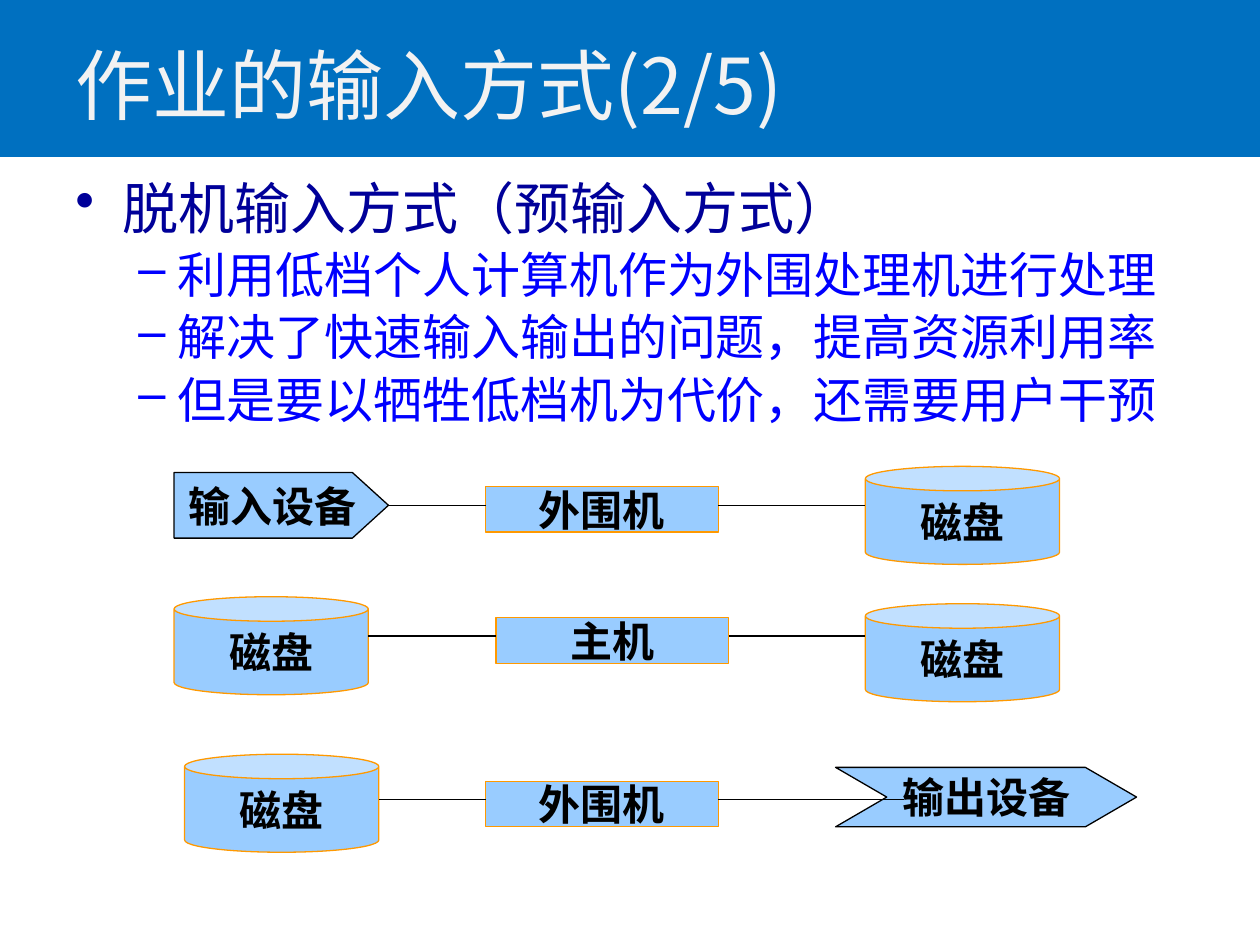
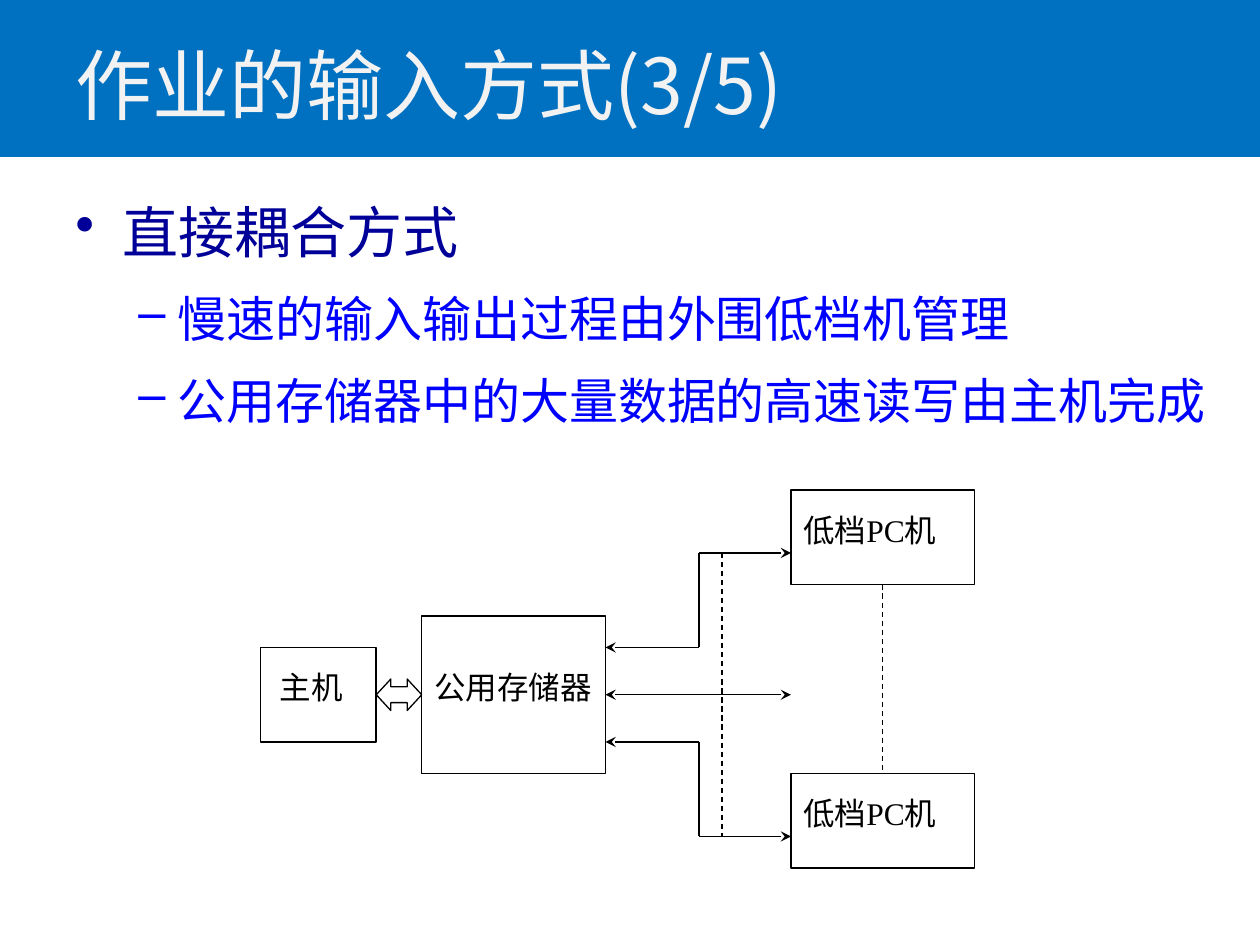
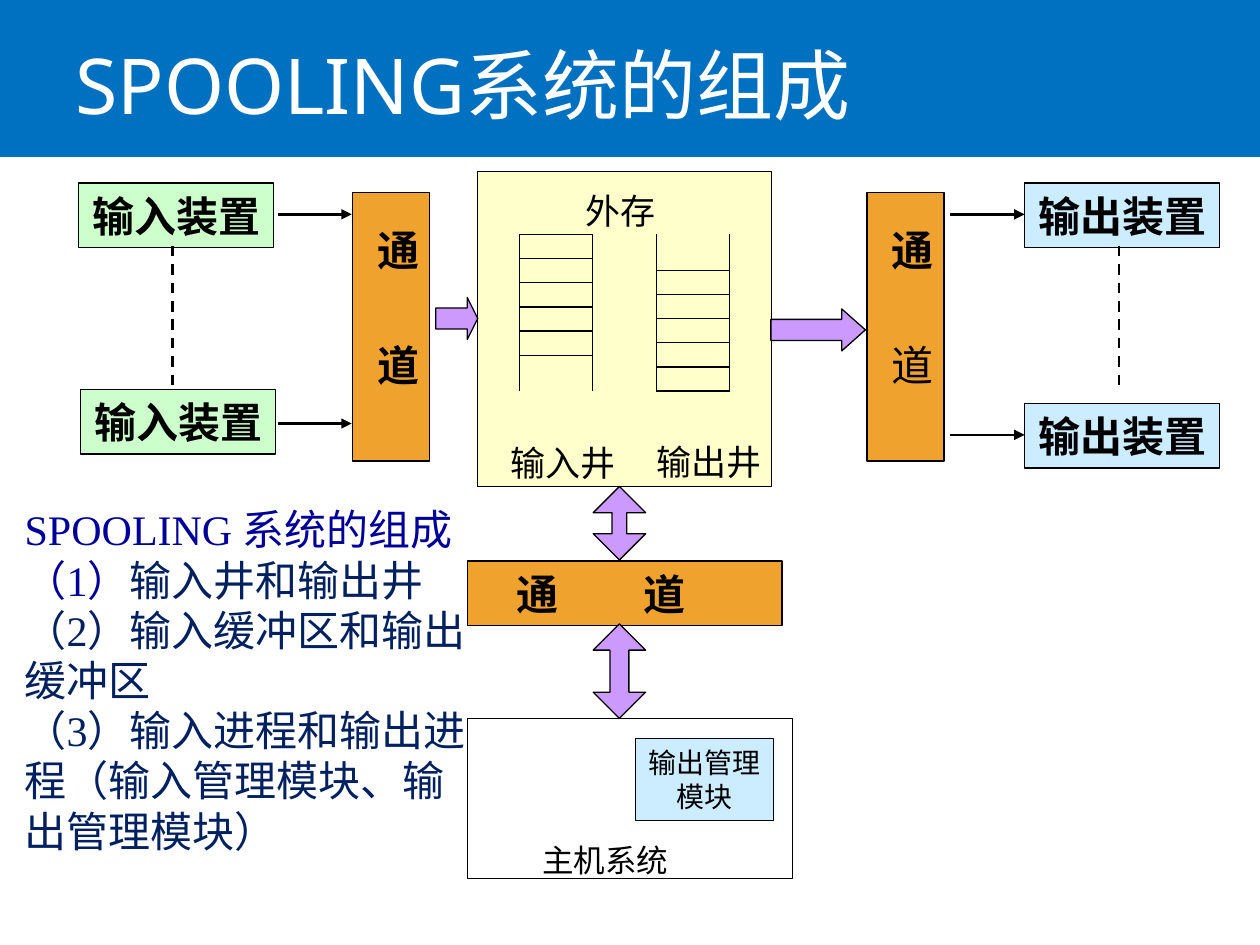
from collections import namedtuple
from dataclasses import dataclass

from lxml import etree
from pptx import Presentation
from pptx.dml.color import RGBColor
from pptx.enum import dml, shapes, text
from pptx.oxml import ns
from pptx.util import Pt

Box = namedtuple("Box", "left top width height")
SHAPE = shapes.MSO_SHAPE
ALIGN = text.PP_ALIGN
ANCHOR = text.MSO_ANCHOR


@dataclass(frozen=True)
class Theme:
    band: str = "0070C0"
    title: str = "F2F2F2"
    white: str = "FFFFFF"
    black: str = "000000"
    heading: str = "000099"
    point: str = "0000FF"
    note: str = "002060"
    device: str = "99CCFF"
    device_edge: str = "FF9900"
    disk: str = "FFFFCC"
    source: str = "CCFFCC"
    sink: str = "CCECFF"
    channel: str = "F0A22E"
    arrow: str = "CC99FF"
    cjk: str = "Noto Sans CJK SC"
    sans: str = "Noto Sans"
    arial: str = "Arial"
    serif: str = "Times New Roman"
    title_size: int = 44
    heading_size: int = 32
    point_size: int = 28
    label_size: int = 24
    caption_size: int = 20
    small_size: int = 18
    tiny_size: int = 16
    thin: float = 0.75
    thick: float = 1.5


THEME = Theme()


# ---- Shared drawing helpers ----
def inside(region, x, y, width, height):
    return Box(region.left + x, region.top + y, width, height)


def add_xml(parent, tag, **attributes):
    return etree.SubElement(parent, ns.qn(tag), **attributes)


def add_span(para, words, size, color=THEME.black, font=THEME.serif, bold=False):
    span = para.add_run()
    span.text = words
    span.font.size = Pt(size)
    span.font.bold = bold
    span.font.color.rgb = RGBColor.from_string(color)
    span.font.name = font
    add_xml(span._r.get_or_add_rPr(), "a:ea", typeface=THEME.cjk)


def set_frame(shape, insets=(0, 0, 0, 0), anchor=ANCHOR.MIDDLE, wrap=True):
    frame = shape.text_frame
    frame.word_wrap = wrap
    frame.vertical_anchor = anchor
    (frame.margin_left, frame.margin_top,
     frame.margin_right, frame.margin_bottom) = map(Pt, insets)
    return frame


def add_text_box(page, box, **options):
    return set_frame(page.shapes.add_textbox(*map(Pt, box)), **options)


def add_block(page, box, fill, kind=SHAPE.RECTANGLE, edge=THEME.black,
              width=THEME.thin, adjust=()):
    block = page.shapes.add_shape(kind, *map(Pt, box))
    block.shadow.inherit = False
    if fill:
        block.fill.solid()
        block.fill.fore_color.rgb = RGBColor.from_string(fill)
    else:
        block.fill.background()
    block.line.color.rgb = RGBColor.from_string(edge)
    block.line.width = Pt(width)
    for index, value in enumerate(adjust):
        block.adjustments[index] = value
    return block


def add_line(page, region, start, end, width=THEME.thin, dashed=False,
             head=None, tail=None):
    line = page.shapes.add_connector(
        shapes.MSO_CONNECTOR.STRAIGHT,
        Pt(region.left + start[0]), Pt(region.top + start[1]),
        Pt(region.left + end[0]), Pt(region.top + end[1]))
    line.line.color.rgb = RGBColor.from_string(THEME.black)
    line.line.width = Pt(width)
    if dashed:
        line.line.dash_style = dml.MSO_LINE.DASH
    outline = line.line._get_or_add_ln()
    for tag, arrow in (("a:headEnd", head), ("a:tailEnd", tail)):
        if arrow:
            add_xml(outline, tag, type=arrow)
    add_xml(line._element.spPr, "a:effectLst")


def write_line(frame, words, size, align=ALIGN.CENTER, **style):
    para = frame.paragraphs[0]
    para.alignment = align
    add_span(para, words, size, **style)


# ---- Title band and bullets ----
def add_header(page, box, words, color=THEME.title, font=THEME.cjk):
    add_block(page, box, THEME.band, edge=THEME.band, width=2)
    frame = add_text_box(page, inside(box, 36, 14.5, 648, 67),
                         insets=(7.2, 3.6, 7.2, 3.6))
    write_line(frame, words, THEME.title_size, ALIGN.LEFT, color=color, font=font)


def add_bullets(page, box, heading, points, spacing):
    frame = add_text_box(page, box, insets=(7.2, 3.6, 7.2, 3.6), anchor=ANCHOR.TOP)
    top = ("•", THEME.heading_size, THEME.heading, 27, -27)
    sub = ("–", THEME.point_size, THEME.point, 58.5, -22.5)
    for index, words in enumerate([heading, *points]):
        mark, size, color, margin, indent = sub if index else top
        para = frame.add_paragraph() if index else frame.paragraphs[0]
        para.level = min(index, 1)
        para.line_spacing = Pt(round(size * 1.19 * spacing, 1))
        para.space_before = Pt(size * 0.2)
        props = para._p.get_or_add_pPr()
        props.set("marL", str(Pt(margin)))
        props.set("indent", str(Pt(indent)))
        add_xml(props, "a:buChar", char=mark)
        add_span(para, words, size, color, THEME.cjk)


# ---- Slide 1: three chains of devices ----
def draw_offline_chains(page, region):
    plate = (SHAPE.PENTAGON, 122.5, 37.5, THEME.black, (0.55,))
    machine = (SHAPE.RECTANGLE, 133, 26, THEME.device_edge, ())
    can = (SHAPE.CAN, 111, 56, THEME.device_edge, (0.25,))
    chevron = (SHAPE.CHEVRON, 172, 34, THEME.black, (0.861,))
    # Each chain: height of its line, overlap into the last part, its parts
    chains = [
        (23, 0, [(plate, 0, 4, "输入设备"), (machine, 178, 12, "外围机"),
                 (can, 395, 0.5, "磁盘")]),
        (97.5, 0, [(can, 0, 75, "磁盘"), (machine, 184, 87, "主机"),
                   (can, 395, 79, "磁盘")]),
        (191, 39, [(can, 6, 165, "磁盘"), (machine, 178, 180.5, "外围机"),
                   (chevron, 378, 172.5, "输出设备")]),
    ]
    for line_y, overlap, parts in chains:
        for (kind, width, height, edge, adjust), x, y, words in parts:
            block = add_block(page, inside(region, x, y, width, height),
                              THEME.device, kind, edge, adjust=adjust)
            write_line(set_frame(block, wrap=False), words, THEME.label_size,
                       font=THEME.arial, bold=True)
        for left, right, extra in zip(parts, parts[1:], (0, overlap)):
            add_line(page, region, (left[1] + left[0][1], line_y),
                     (right[1] + extra, line_y))


# ---- Slide 2: shared storage between host and PCs ----
def draw_coupling(page, region):
    boxes = [
        ("主机", (0, 90, 66, 54), 11, 12),
        ("公用存储器", (92, 72, 105, 90), 7.2, 30),
        ("低档PC机", (303, 0, 105, 54), 7.2, 12),
        ("低档PC机", (303, 162, 105, 54), 7.2, 12),
    ]
    for words, place, left, top in boxes:
        block = add_block(page, inside(region, *place), THEME.white)
        frame = set_frame(block, (left, top, 0, 0), ANCHOR.TOP)
        write_line(frame, words, THEME.small_size, ALIGN.LEFT)

    # Stepped links from the storage to each PC
    storage, bend, pc = 197, 250.5, 303
    for inner, outer in ((90, 36), (144, 198)):
        add_line(page, region, (storage, inner), (bend, inner), head="stealth")
        add_line(page, region, (bend, inner), (bend, outer))
        add_line(page, region, (bend, outer), (pc, outer), tail="stealth")
    add_line(page, region, (storage, 117), (pc, 117), head="stealth", tail="stealth")

    # Dashed lines for the PCs in between
    add_line(page, region, (263.5, 36), (263.5, 198), dashed=True)
    add_line(page, region, (355.5, 54), (355.5, 162), dashed=True)
    add_block(page, inside(region, 66, 108, 26, 18), THEME.white,
              SHAPE.LEFT_RIGHT_ARROW, adjust=(0.5, 0.462))


# ---- Slide 3: SPOOLING parts ----
def draw_well(page, region, left, right, first_rung, step):
    for x in (left, right):
        add_line(page, region, (x, 44), (x, 133.5))
    for index in range(6):
        y = first_rung + index * step
        add_line(page, region, (left, y), (right, y))


def draw_disk(page, region):
    add_block(page, inside(region, 273, 8, 168, 180), THEME.disk)
    draw_well(page, region, 297, 338.5, 44, 13.8)
    draw_well(page, region, 375, 417, 133.5, -13.8)
    for words, x, y, width in (("输入井", 285, 158.5, 74), ("输出井", 368, 158, 74),
                               ("外存", 327, 14.5, 55)):
        frame = add_text_box(page, inside(region, x, y, width, 31), wrap=False)
        write_line(frame, words, THEME.caption_size)


def draw_devices(page, region):
    devices = [("输入装置", THEME.source, 45, 14.5), ("输入装置", THEME.source, 46, 132.5),
               ("输出装置", THEME.sink, 585.5, 14.5), ("输出装置", THEME.sink, 585.5, 140.5)]
    for words, fill, x, y in devices:
        block = add_block(page, inside(region, x, y, 111.5, 37), fill)
        write_line(set_frame(block, wrap=False), words, THEME.label_size, bold=True)
    for start, end, y in ((159, 201, 32.5), (159, 201, 152),
                          (543, 585.5, 32.5), (543, 585.5, 158.5)):
        add_line(page, region, (start, y), (end, y), THEME.thick, tail="triangle")
    for x in (98.5, 639.5):
        add_line(page, region, (x, 50.5), (x, 134), THEME.thick, dashed=True)


def draw_channels(page, region):
    # Upright channels, one character above the other
    for x, lower_bold in ((201.5, True), (495.5, False)):
        block = add_block(page, inside(region, x, 20, 44, 153.5), THEME.channel)
        frame = set_frame(block, (8, 18, 0, 0), ANCHOR.TOP)
        write_line(frame, "通", THEME.label_size, bold=True)
        lower = frame.add_paragraph()
        lower.alignment = ALIGN.CENTER
        lower.space_before = Pt(37)
        add_span(lower, "道", THEME.label_size, bold=lower_bold)
    # Level channel, its characters parted by a tab stop
    block = add_block(page, inside(region, 267, 230.5, 180, 37), THEME.channel)
    frame = set_frame(block, (28, 0, 0, 0))
    write_line(frame, "通\t道", THEME.label_size, ALIGN.LEFT, bold=True)
    stops = add_xml(frame.paragraphs[0]._p.get_or_add_pPr(), "a:tabLst")
    add_xml(stops, "a:tab", pos=str(Pt(73)), algn="l")


def draw_host(page, region):
    block = add_block(page, inside(region, 363, 332, 79, 47), THEME.sink)
    frame = set_frame(block)
    write_line(frame, "输出管理", THEME.tiny_size)
    second = frame.add_paragraph()
    second.alignment = ALIGN.CENTER
    add_span(second, "模块", THEME.tiny_size)
    for para in frame.paragraphs:
        para.line_spacing = Pt(19.4)
    host = add_block(page, inside(region, 267, 320.5, 186, 91.5), None)
    write_line(set_frame(host, (43, 0, 0, 0), ANCHOR.BOTTOM), "主机系统",
               THEME.small_size, ALIGN.LEFT)


def draw_flow_arrows(page, region):
    across, upright = SHAPE.RIGHT_ARROW, SHAPE.UP_DOWN_ARROW
    for kind, place, tip in ((across, (249, 80, 24, 24), 0.25),
                             (across, (440.5, 86.5, 54, 24), 0.562),
                             (upright, (339, 188, 30, 42), 0.28),
                             (upright, (339, 266.5, 30, 54), 0.36)):
        # The tip of an upright arrow is measured against its width
        add_block(page, inside(region, *place), THEME.arrow, kind, adjust=(0.5, tip))


def write_summary(page, box):
    frame = add_text_box(page, box, insets=(7.2, 3.6, 7.2, 3.6), anchor=ANCHOR.TOP)
    paragraphs = [
        [("SPOOLING 系统的组成", THEME.heading)],
        [("（1）", THEME.heading),
         ("输入井和输出井（2）输入缓冲区和输出缓冲区", THEME.note)],
        [("（3）输入进程和输出进程（输入管理模块、输出管理模块）", THEME.note)],
    ]
    for index, spans in enumerate(paragraphs):
        para = frame.add_paragraph() if index else frame.paragraphs[0]
        para.line_spacing = Pt(28.7)
        for words, color in spans:
            add_span(para, words, THEME.label_size, color)


def draw_spooling(page, region):
    draw_disk(page, region)
    draw_devices(page, region)
    draw_channels(page, region)
    draw_host(page, region)
    draw_flow_arrows(page, region)
    write_summary(page, inside(region, 7, 194.5, 275, 211))


# ---- Build the deck ----
deck = Presentation()
deck.slide_width, deck.slide_height = Pt(720), Pt(540)
pages = [deck.slides.add_slide(deck.slide_layouts[6]) for _ in range(3)]
offline, coupled, spooling = pages
band = Box(0, 0, 720, 88.5)

add_header(offline, band, "作业的输入方式(2/5)")
add_bullets(offline, Box(36, 100, 648, 382), "脱机输入方式（预输入方式）",
            ["利用低档个人计算机作为外围处理机进行处理",
             "解决了快速输入输出的问题，提高资源利用率",
             "但是要以牺牲低档机为代价，还需要用户干预"], 0.9)
draw_offline_chains(offline, Box(99.5, 266, 550, 222))

add_header(coupled, band, "作业的输入方式(3/5)")
add_bullets(coupled, Box(36, 100, 670, 382), "直接耦合方式",
            ["慢速的输入输出过程由外围低档机管理",
             "公用存储器中的大量数据的高速读写由主机完成"], 1.25)
draw_coupling(coupled, Box(149, 280, 408, 216))

add_header(spooling, band, "SPOOLING系统的组成", THEME.white, THEME.sans)
draw_spooling(spooling, Box(0, 90, 720, 412))

deck.save("out.pptx")
